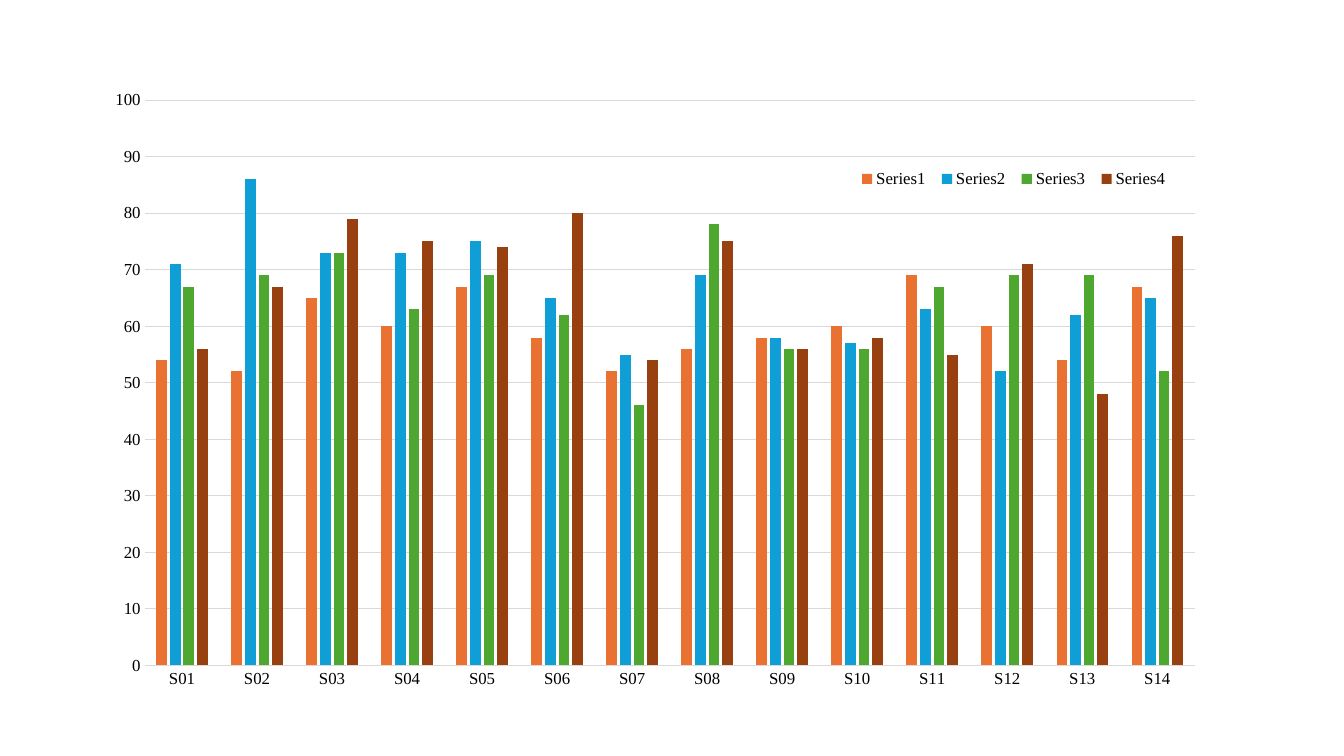
from pptx import Presentation
from pptx.chart.data import CategoryChartData
from pptx.dml.color import RGBColor
from pptx.enum.chart import XL_CHART_TYPE as ChartType
from pptx.enum.chart import XL_LEGEND_POSITION as LegendPos
from pptx.enum.chart import XL_TICK_MARK as Tick
from pptx.oxml import parse_xml
from pptx.oxml.ns import nsdecls, qn
from pptx.util import Cm, Pt

COLORS = {
    "text": "000000",
    "grid": "D9D9D9",
    "Series1": "E97132",
    "Series2": "0F9ED5",
    "Series3": "4EA72E",
    "Series4": "994010",
}
FONT = "Times New Roman"
CATEGORIES = [f"S{n:02d}" for n in range(1, 15)]
SCORES = {
    "Series1": [54, 52, 65, 60, 67, 58, 52, 56, 58, 60, 69, 60, 54, 67],
    "Series2": [71, 86, 73, 73, 75, 65, 55, 69, 58, 57, 63, 52, 62, 65],
    "Series3": [67, 69, 73, 63, 69, 62, 46, 78, 56, 56, 67, 69, 69, 52],
    "Series4": [56, 67, 79, 75, 74, 80, 54, 75, 56, 58, 55, 71, 48, 76],
}


def rgb(name):
    return RGBColor.from_string(COLORS[name])


def style_font(font):
    font.name = FONT
    font.size = Pt(12)
    font.bold = False
    font.color.rgb = rgb("text")


def style_line(line):
    line.color.rgb = rgb("grid")
    line.width = Pt(0.75)


def place(parent, index, box, inner=False):
    """Set a manual layout, given as fractions of the chart area."""
    for old in parent.findall(qn("c:layout")):
        parent.remove(old)
    x, y, w, h = box
    target = '<c:layoutTarget val="inner"/>' if inner else ""
    parent.insert(index, parse_xml(
        f'<c:layout {nsdecls("c")}><c:manualLayout>{target}'
        '<c:xMode val="edge"/><c:yMode val="edge"/>'
        f'<c:x val="{x}"/><c:y val="{y}"/><c:w val="{w}"/><c:h val="{h}"/>'
        '</c:manualLayout></c:layout>'))


def style_axes(chart):
    for axis in (chart.category_axis, chart.value_axis):
        axis.major_tick_mark = axis.minor_tick_mark = Tick.NONE
        style_font(axis.tick_labels.font)
    style_line(chart.category_axis.format.line)
    values = chart.value_axis
    values.minimum_scale, values.maximum_scale = 0, 100
    values.major_unit = 10
    values.format.line.fill.background()
    values.has_major_gridlines = True
    style_line(values.major_gridlines.format.line)


def style_columns(plot):
    plot.gap_width = 219
    plot.overlap = -27
    plot.vary_by_categories = False
    for series in plot.series:
        series.format.fill.solid()
        series.format.fill.fore_color.rgb = rgb(series.name)
        series.invert_if_negative = False


def add_legend(chart):
    chart.has_legend = True
    chart.legend.position = LegendPos.BOTTOM
    chart.legend.include_in_layout = False
    style_font(chart.legend.font)
    place(chart.element.find(".//" + qn("c:legend")), 1,
          (0.68, 0.14, 0.29, 0.04))


def add_column_chart(slide, left, top, width, height):
    data = CategoryChartData()
    data.categories = CATEGORIES
    for name, values in SCORES.items():
        data.add_series(name, values)
    chart = slide.shapes.add_chart(
        ChartType.COLUMN_CLUSTERED, left, top, width, height, data).chart
    chart.has_title = False
    style_font(chart.font)
    style_axes(chart)
    style_columns(chart.plots[0])
    add_legend(chart)
    place(chart.element.find(".//" + qn("c:plotArea")), 0,
          (0.048, 0.033, 0.939, 0.912), inner=True)


def main():
    prs = Presentation()
    prs.slide_width, prs.slide_height = Cm(33.87), Cm(19.05)
    slide = prs.slides.add_slide(prs.slide_layouts[6])
    add_column_chart(slide, Cm(2.29), Cm(2.01), Cm(28.19), Cm(15.62))
    prs.save("out.pptx")


if __name__ == "__main__":
    main()
